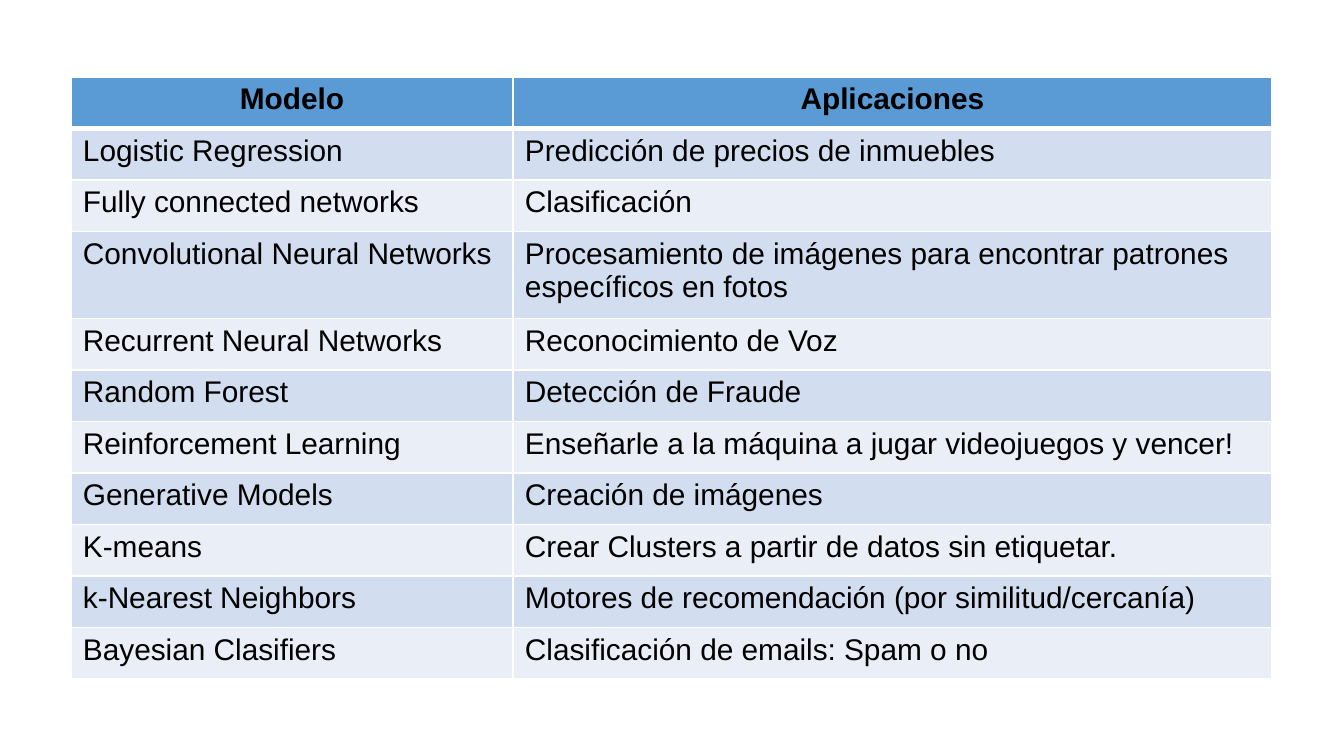
from pptx import Presentation
from pptx.dml.color import RGBColor as RGB
from pptx.enum.text import PP_ALIGN as Align
from pptx.oxml.ns import qn
from pptx.util import Emu, Pt
from lxml.etree import SubElement as Sub

BLACK = RGB(0x00, 0x00, 0x00)
WHITE = RGB(0xFF, 0xFF, 0xFF)
BLUE = RGB(0x5B, 0x9B, 0xD5)
BANDS = RGB(0xEA, 0xEF, 0xF7), RGB(0xD2, 0xDE, 0xEF)

COLS = 442, 759
TALL_ROW, TALL = 3, 87

ROWS = [
    ("Modelo", "Aplicaciones"),
    ("Logistic Regression", "Predicción de precios de inmuebles"),
    ("Fully connected networks", "Clasificación"),
    ("Convolutional Neural Networks",
     "Procesamiento de imágenes para encontrar patrones específicos en fotos"),
    ("Recurrent Neural Networks", "Reconocimiento de Voz"),
    ("Random Forest", "Detección de Fraude"),
    ("Reinforcement Learning",
     "Enseñarle a la máquina a jugar videojuegos y vencer!"),
    ("Generative Models", "Creación de imágenes"),
    ("K-means", "Crear Clusters a partir de datos sin etiquetar."),
    ("k-Nearest Neighbors",
     "Motores de recomendación (por similitud/cercanía)"),
    ("Bayesian Clasifiers", "Clasificación de emails: Spam o no"),
]


def px(n):
    return Emu(round(n * 914400 / 134.4))


def edge(cell, side, width):
    line = Sub(cell._tc.get_or_add_tcPr(), qn("a:ln" + side),
               w=str(Pt(width)))
    fill = Sub(line, qn("a:solidFill"))
    Sub(fill, qn("a:srgbClr"), val=str(WHITE))


def fill_cell(cell, text, row):
    head = row == 0
    # Borders come before the fill in the cell's XML
    for side in "LRTB":
        thick = (side == "B" and head) or (side == "T" and row == 1)
        edge(cell, side, 3 if thick else 1)
    cell.fill.solid()
    cell.fill.fore_color.rgb = BLUE if head else BANDS[row % 2]
    cell.margin_left = cell.margin_right = px(12)
    cell.margin_top = cell.margin_bottom = px(6)
    cell.text = text
    para = cell.text_frame.paragraphs[0]
    para.alignment = Align.CENTER if head else Align.LEFT
    font = para.font
    font.name, font.size, font.bold = "Arial", Pt(16), head
    font.color.rgb = BLACK


def add_models(slide, x, y, w, h):
    frame = slide.shapes.add_table(len(ROWS), len(COLS),
                                   px(x), px(y), px(w), px(h))
    table = frame.table
    for col, width in zip(table.columns, COLS):
        col.width = px(width)
    # One row holds two lines; the others share the rest equally
    short = (h - TALL) / (len(ROWS) - 1)
    for r, texts in enumerate(ROWS):
        table.rows[r].height = px(TALL if r == TALL_ROW else short)
        for c, text in enumerate(texts):
            fill_cell(table.cell(r, c), text, r)


def main():
    deck = Presentation()
    deck.slide_width, deck.slide_height = px(1344), px(756)
    slide = deck.slides.add_slide(deck.slide_layouts[6])
    add_models(slide, 71, 77, sum(COLS), 602)
    deck.save("out.pptx")


if __name__ == "__main__":
    main()
